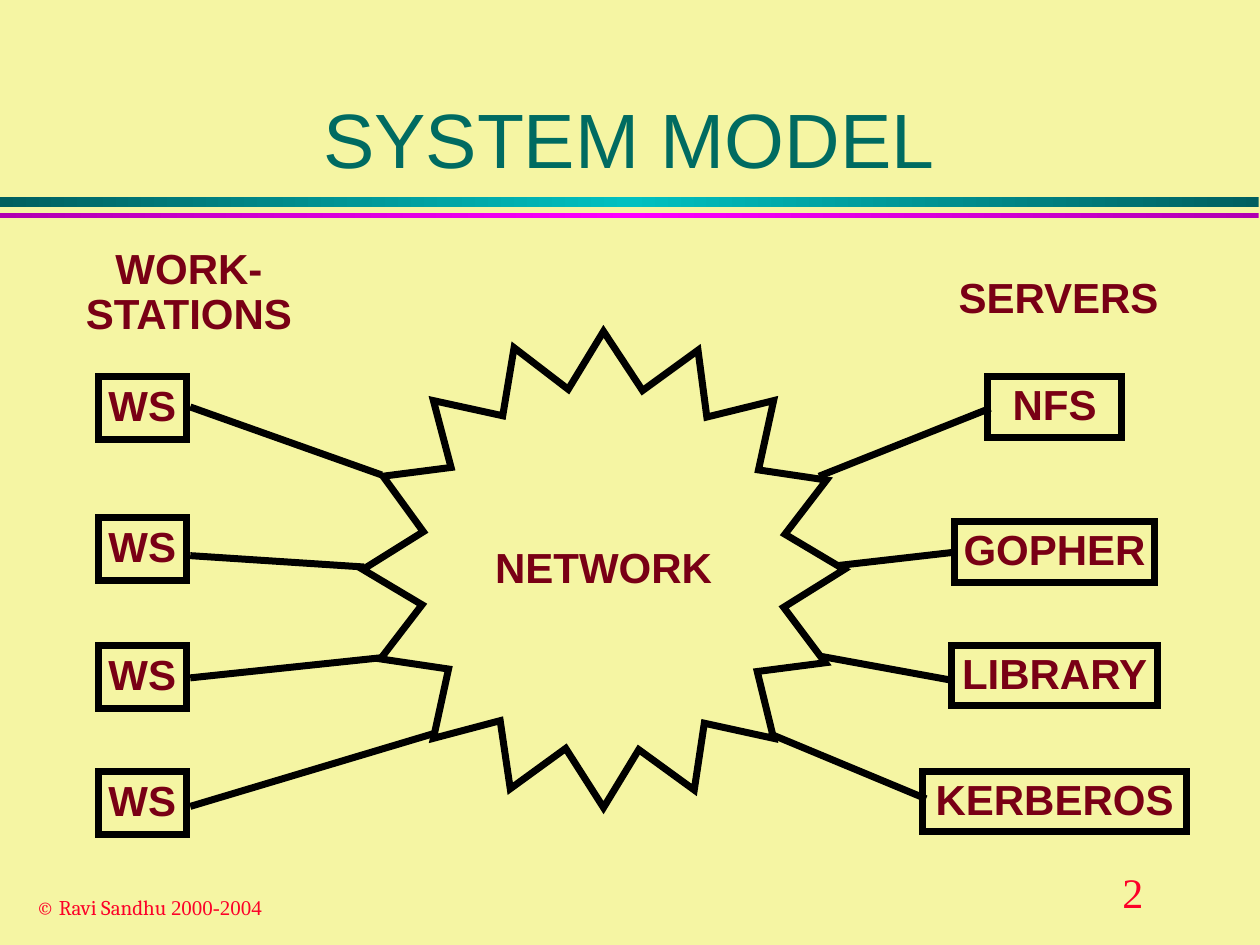
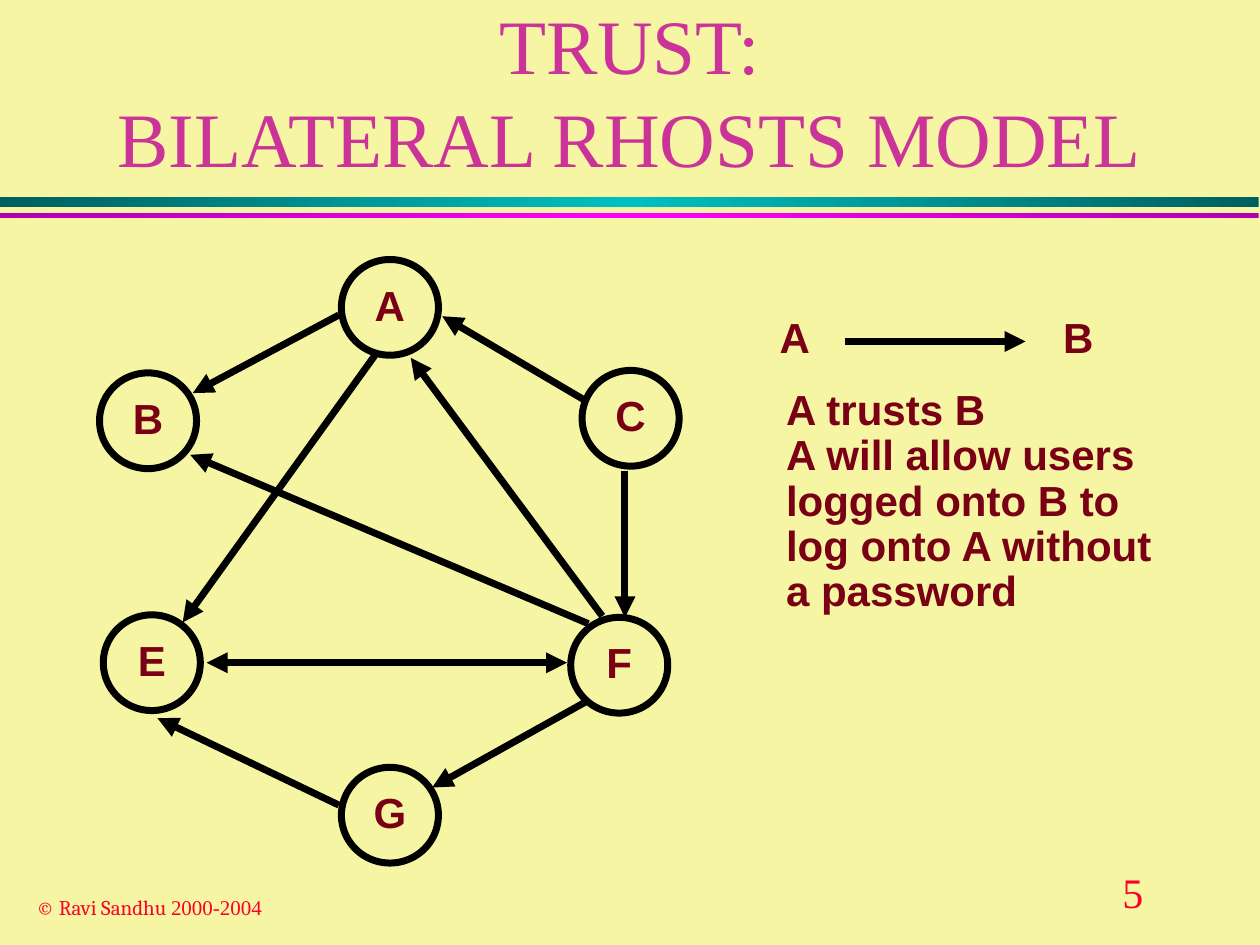
"""Builds two slides on a network system model and its trust graph."""
from copy import deepcopy

from lxml import etree
from pptx import Presentation
from pptx.dml.color import RGBColor
from pptx.enum.shapes import MSO_CONNECTOR, MSO_SHAPE
from pptx.enum.text import MSO_ANCHOR, MSO_AUTO_SIZE, PP_ALIGN
from pptx.oxml.ns import qn
from pptx.util import Inches, Pt

RECT, OVAL = MSO_SHAPE.RECTANGLE, MSO_SHAPE.OVAL
LINE = MSO_CONNECTOR.STRAIGHT
LEFT, CENTER = PP_ALIGN.LEFT, PP_ALIGN.CENTER
TOP, MIDDLE, BOTTOM = MSO_ANCHOR.TOP, MSO_ANCHOR.MIDDLE, MSO_ANCHOR.BOTTOM
FIXED = MSO_AUTO_SIZE.NONE

CREAM = RGBColor(0xF5, 0xF5, 0xA3)
BLACK = RGBColor(0, 0, 0)
MAROON = RGBColor(0x79, 0x00, 0x15)
RED = RGBColor(0xFC, 0x01, 0x28)
GREEN = RGBColor(0x00, 0x6B, 0x61)
PINK = RGBColor(0xCC, 0x33, 0x99)
TEAL = RGBColor(0x00, 0x5F, 0x5F)
CYAN = RGBColor(0x00, 0xC0, 0xC0)
PURPLE = RGBColor(0xB1, 0x00, 0xB1)
VIOLET = RGBColor(0xFF, 0x00, 0xFF)

SANS, SERIF = "Arial", "Times New Roman"
LABEL = {"name": SANS, "size": Pt(24), "bold": True}
HEAD = {"name": SANS, "size": Pt(44)}
TRUST = {"name": SERIF, "size": Pt(44)}
PAGE = {"name": SERIF, "size": Pt(24)}
NOTE = {"name": "Cambria", "size": Pt(12)}
YEARS = {"name": SERIF, "size": Pt(12)}

BANDS = [((0, 1.56, 9.99, 0.08), TEAL, CYAN),
         ((0, 1.69, 9.99, 0.04), PURPLE, VIOLET)]

STAR = [
    (2.88, 4.52), (3.35, 4.8), (3.02, 5.23), (3.56, 5.31), (3.44, 5.86),
    (3.97, 5.72), (4.05, 6.26), (4.49, 5.94), (4.79, 6.41), (5.07, 5.95),
    (5.51, 6.27), (5.59, 5.74), (6.14, 5.86), (6.01, 5.33), (6.55, 5.26),
    (6.22, 4.82), (6.7, 4.52), (6.23, 4.24), (6.56, 3.81), (6.02, 3.73),
    (6.14, 3.18), (5.61, 3.31), (5.54, 2.78), (5.1, 3.1), (4.79, 2.63),
    (4.51, 3.09), (4.08, 2.76), (3.99, 3.3), (3.44, 3.18), (3.58, 3.71),
    (3.04, 3.78), (3.36, 4.22)]
STATIONS = [2.99, 4.11, 5.12, 6.12]
SERVERS = [("NFS", 2.99, 1.06), ("GOPHER", 4.14, 1.59),
           ("LIBRARY", 5.12, 1.63), ("KERBEROS", 6.12, 2.1)]
WIRES = [
    (1.51, 3.23, 3.03, 3.77), (1.51, 4.41, 2.89, 4.5),
    (1.51, 5.38, 3.03, 5.22), (1.51, 6.4, 3.45, 5.82),
    (7.86, 3.24, 6.5, 3.78), (7.6, 4.38, 6.64, 4.49),
    (7.56, 5.4, 6.52, 5.21), (7.35, 6.34, 6.1, 5.82)]

HOSTS = [("A", 2.71, 2.06), ("B", 0.79, 2.96), ("C", 4.62, 2.94),
         ("E", 0.82, 4.88), ("G", 2.71, 6.09), ("F", 4.53, 4.9)]
MUTUAL = (1.64, 5.26, 4.5, 5.26)
TRUSTS = [
    (1.53, 3.12, 2.69, 2.5), (3.51, 2.51, 4.63, 3.17), MUTUAL,
    (1.51, 3.61, 4.67, 4.95), (4.96, 4.9, 4.96, 3.74),
    (1.25, 5.7, 2.69, 6.39), (3.43, 6.25, 4.65, 5.57),
    (1.45, 4.94, 2.99, 2.8), (3.26, 2.84, 4.78, 4.89)]
RULE = ("A trusts B\nA will allow users\nlogged onto B to\n"
        "log onto A without\na password")


def place(at):
    """Turn lengths in inches into slide units."""
    return [Inches(v) for v in at]


class Deck:
    """Holds the presentation, its style and the current slide."""

    def __init__(self):
        """Start an empty deck with the shared background."""
        self.show = Presentation()
        self.show.slide_width, self.show.slide_height = place((10, 7.5))
        fill = self.show.slide_master.background.fill
        fill.solid()
        fill.fore_color.rgb = CREAM

    def page(self, title, at, look, color, space, number):
        """Add a slide with title, bands and footer."""
        self.slide = self.show.slides.add_slide(self.show.slide_layouts[5])
        self.shapes = self.slide.shapes
        for band in BANDS:
            self.band(*band)
        self.text(str(number), (8.81, 6.83, 1.1, 0.5), PAGE, RED, space=1)
        note = self.text("© Ravi Sandhu ", (0.19, 7.05, 2.15, 0.3),
                         NOTE, RED, space=1)
        run = note.text_frame.paragraphs[0].add_run()
        run.text = "2000-2004"
        self.ink(run, YEARS, RED)
        head = self.shapes.title
        head.left, head.top, head.width, head.height = place(at)
        self.label(head, title, look, color, CENTER, BOTTOM, True, space)

    def ink(self, run, look, color):
        """Apply font values to a run."""
        for key, value in look.items():
            setattr(run.font, key, value)
        run.font.color.rgb = color

    def label(self, shape, text, look=LABEL, color=MAROON, align=CENTER,
              anchor=MIDDLE, wrap=False, space=0.9):
        """Put styled text into a shape."""
        frame = shape.text_frame
        frame.text = text
        form = {"auto_size": FIXED, "word_wrap": wrap,
                "vertical_anchor": anchor}
        for key, value in form.items():
            setattr(frame, key, value)
        for para in frame.paragraphs:
            para.alignment, para.line_spacing = align, space
            for run in para.runs:
                self.ink(run, look, color)

    def text(self, text, at, look=LABEL, color=MAROON, align=LEFT, space=0.9):
        """Add a text box."""
        box = self.shapes.add_textbox(*place(at))
        self.label(box, text, look, color, align, TOP, True, space)
        return box

    def band(self, at, edge, core):
        """Add a bar that glows in its middle."""
        bar = self.shapes.add_shape(RECT, *place(at))
        bar.shadow.inherit = False
        bar.line.fill.background()
        bar.fill.gradient()
        bar.fill.gradient_angle = 0
        stops = bar._element.spPr.find(".//" + qn("a:gsLst"))
        stops.insert(1, deepcopy(stops[0]))
        marks = [(0, edge), (0.5, core), (1, edge)]
        for stop, (spot, color) in zip(bar.fill.gradient_stops, marks):
            stop.position, stop.color.rgb = spot, color

    def stroke(self, shape):
        """Give a shape the thick black mitred line."""
        shape.line.color.rgb = BLACK
        shape.line.width = Pt(4)
        pen = shape.line._get_or_add_ln()
        etree.SubElement(pen, qn("a:miter")).set("lim", "800000")
        return pen

    def outline(self, shape, text):
        """Style a hollow shape and label it."""
        shape.shadow.inherit = False
        shape.fill.background()
        self.stroke(shape)
        self.label(shape, text)

    def node(self, kind, text, at):
        """Add a labelled box or circle."""
        self.outline(self.shapes.add_shape(kind, *place(at)), text)

    def cloud(self, text, points):
        """Add a labelled closed outline."""
        first, *rest = [place(p) for p in points]
        edge = self.shapes.build_freeform(*first)
        edge.add_line_segments(rest, close=True)
        self.outline(edge.convert_to_shape(), text)

    def link(self, ends, *tips):
        """Add a line with arrowheads at the named tips."""
        line = self.shapes.add_connector(LINE, *place(ends))
        pen = self.stroke(line)
        for tip in tips:
            etree.SubElement(pen, qn("a:" + tip)).set("type", "triangle")
        etree.SubElement(line._element.spPr, qn("a:effectLst"))


def model(deck):
    """Draw workstations, network and servers."""
    deck.page("SYSTEM MODEL", (1.44, 0.2, 7.11, 1.32), HEAD, GREEN, 0.9, 2)
    deck.cloud("NETWORK", STAR)
    deck.text("WORK-STATIONS", (0.5, 1.92, 2, 0.82), align=CENTER)
    deck.text("SERVERS", (7.51, 2.15, 1.79, 0.46))
    for top in STATIONS:
        deck.node(RECT, "WS", (0.78, top, 0.7, 0.5))
    for name, top, width in SERVERS:
        deck.node(RECT, name, (8.37 - width / 2, top, width, 0.48))
    for ends in WIRES:
        deck.link(ends)


def trust(deck):
    """Draw the trust graph and its key."""
    deck.page("TRUST:\vBILATERAL RHOSTS MODEL", (0, 0.25, 10, 1.25),
              TRUST, PINK, 1, 5)
    for name, left, top in HOSTS:
        deck.node(OVAL, name, (left, top, 0.77, 0.76))
    for ends in TRUSTS:
        tips = ["headEnd", "tailEnd"] if ends == MUTUAL else ["headEnd"]
        deck.link(ends, *tips)
    deck.link((6.71, 2.71, 8.14, 2.71), "tailEnd")
    for name, left in [("A", 6.09), ("B", 8.34)]:
        deck.text(name, (left, 2.47, 0.44, 0.46))
    deck.text(RULE, (6.14, 3.04, 3.12, 1.9))


deck = Deck()
model(deck)
trust(deck)
deck.show.save("out.pptx")
